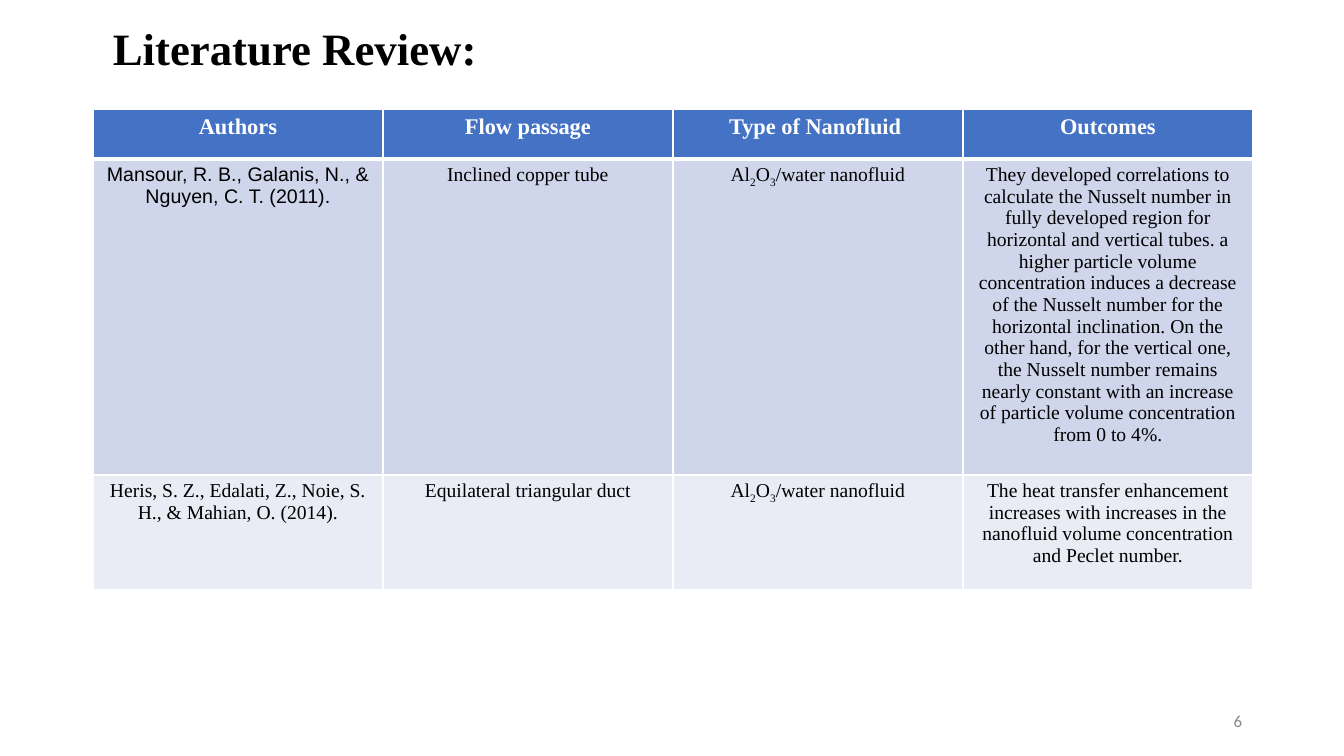
"""Build the literature review slide with its table of nanofluid studies."""
from lxml import etree
from pptx import Presentation
from pptx.dml.color import RGBColor
from pptx.enum.text import MSO_ANCHOR, PP_ALIGN
from pptx.oxml.ns import qn
from pptx.util import Emu, Pt

LEFT, MID, RIGHT = PP_ALIGN.LEFT, PP_ALIGN.CENTER, PP_ALIGN.RIGHT
MIDDLE = MSO_ANCHOR.MIDDLE
SERIF = "Times New Roman"
COLOR = {"ink": "000000", "white": "FFFFFF", "gray": "888888",
         "head": "4472C4", "odd": "CFD5EA", "even": "E9EBF5"}

FLUID = [("Al", 0), ("2", -25), ("O", 0), ("3", -25), ("/water nanofluid", 0)]
HEADS = ["Authors", "Flow passage", "Type of Nanofluid ", "Outcomes"]
STUDIES = [
    ["Mansour, R. B., Galanis, N., & Nguyen, C. T. (2011).",
     "Inclined copper tube", FLUID,
     "They developed correlations to calculate the Nusselt number in fully "
     "developed region for horizontal and vertical tubes. a higher particle "
     "volume concentration induces a decrease of the Nusselt number for the "
     "horizontal inclination. On the other hand, for the vertical one, the "
     "Nusselt number remains nearly constant with an increase of particle "
     "volume concentration from 0 to 4%."],
    ["Heris, S. Z., Edalati, Z., Noie, S. H., & Mahian, O. (2014).",
     "Equilateral triangular duct", FLUID,
     "The heat transfer enhancement increases with increases in the "
     "nanofluid volume concentration and Peclet number."],
]
ROWS = [HEADS] + STUDIES
FILLS = ["head", "odd", "even"]
HEIGHTS = [50, 292, 115]
RULES = [1, 3, 1, 1]
COL = 290
GRID = (93, 109)

TITLE = {"name": SERIF, "size": Pt(32), "bold": True, "color": "ink"}
HEAD = {"name": SERIF, "size": Pt(16), "bold": True, "color": "white"}
BODY = {"name": SERIF, "size": Pt(14), "bold": False, "color": "ink"}
CITE = BODY | {"name": "Arial"}
PAGE = {"name": "Calibri", "size": Pt(12), "color": "gray"}
BOXES = [
    ("Literature Review:", (103, 25, 1087, 53), TITLE, LEFT, 0.9),
    ("6", (950, 701, 302, 40), PAGE, RIGHT, 1.0),
]


def px(num):
    return Emu(round(num * 914400 / 100.8))


def rgb(name):
    return RGBColor.from_string(COLOR[name])


def write(frame, text, form, align):
    para = frame.paragraphs[0]
    para.alignment = align
    parts = [(text, 0)] if isinstance(text, str) else text
    for part, base in parts:
        run = para.add_run()
        run.text = part
        for key, val in form.items():
            if key == "color":
                run.font.color.rgb = rgb(val)
            else:
                setattr(run.font, key, val)
        if base:
            run._r.get_or_add_rPr().set("baseline", str(base * 1000))
    return para


def edge(cell, side, width):
    props = cell._tc.get_or_add_tcPr()
    line = etree.SubElement(props, qn(f"a:ln{side}"), w=str(Pt(width)))
    fill = etree.SubElement(line, qn("a:solidFill"))
    etree.SubElement(fill, qn("a:srgbClr"), val=COLOR["white"])


def add_grid(slide):
    cols = len(HEADS)
    shape = slide.shapes.add_table(len(ROWS), cols, *map(px, GRID),
                                   px(COL * cols), px(sum(HEIGHTS)))
    table = shape.table
    for col in table.columns:
        col.width = px(COL)
    for r, row in enumerate(ROWS):
        table.rows[r].height = px(HEIGHTS[r])
        for c, text in enumerate(row):
            cell = table.cell(r, c)
            form = HEAD if r == 0 else CITE if (r, c) == (1, 0) else BODY
            write(cell.text_frame, text, form, MID)
            for side, width in zip("LRTB", (1, 1, RULES[r], RULES[r + 1])):
                edge(cell, side, width)
            cell.fill.solid()
            cell.fill.fore_color.rgb = rgb(FILLS[r])


def main():
    deck = Presentation()
    deck.slide_width, deck.slide_height = px(1344), px(756)
    slide = deck.slides.add_slide(deck.slide_layouts[6])
    for text, place, form, align, space in BOXES:
        frame = slide.shapes.add_textbox(*map(px, place)).text_frame
        frame.word_wrap = True
        frame.vertical_anchor = MIDDLE
        write(frame, text, form, align).line_spacing = space
    add_grid(slide)
    deck.save("out.pptx")


if __name__ == "__main__":
    main()
